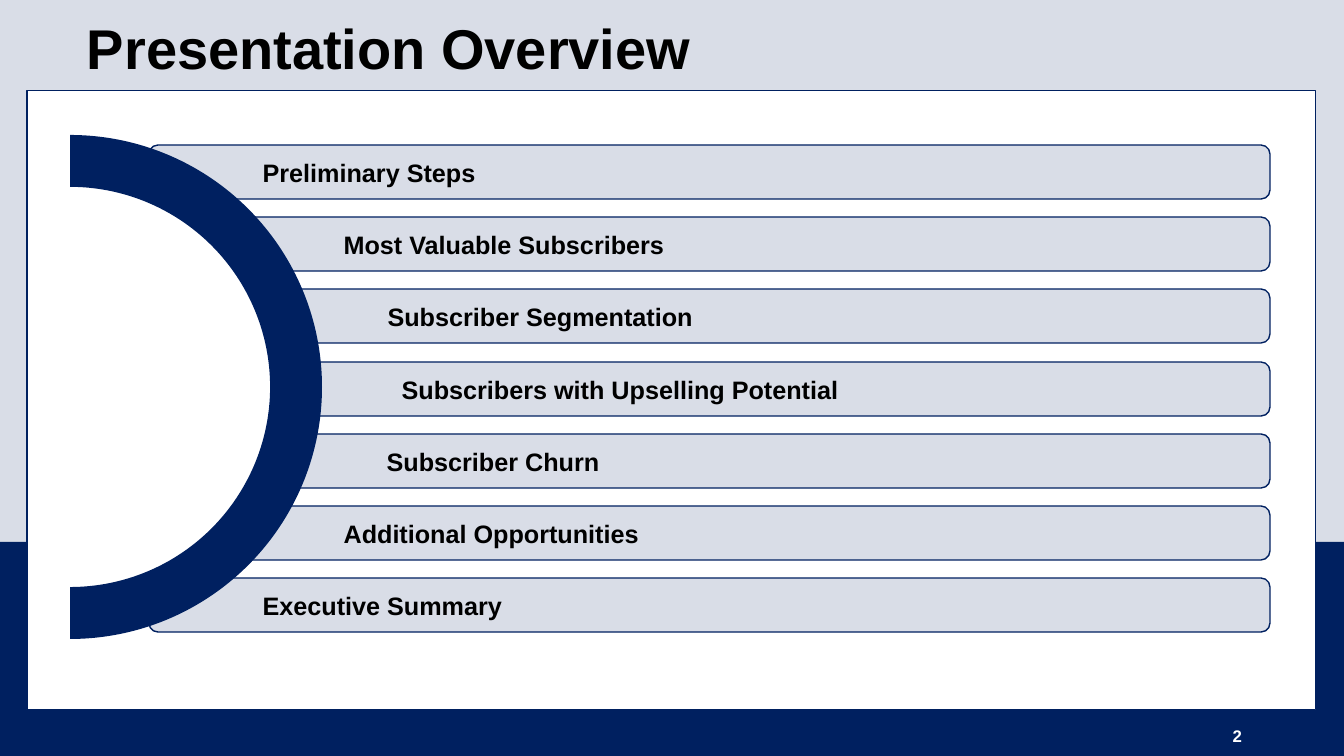
"""Build the presentation overview slide."""
from lxml import etree
from pptx import Presentation, util as u
from pptx.dml.color import RGBColor
from pptx.enum import shapes as s, text as t
from pptx.oxml.ns import qn

NAVY, WHITE, BLACK = "002060", "FFFFFF", "000000"
TOPICS = [
    ("Preliminary Steps", 149),
    ("Most Valuable Subscribers", 230),
    ("Subscriber Segmentation", 274),
    ("Subscribers with Upselling Potential", 288),
    ("Subscriber Churn", 273),
    ("Additional Opportunities", 230),
    ("Executive Summary", 149),
]
FIRST, LAST, RIGHT = 145, 578, 1270


def px(n):
    """Turn pixels into EMU."""
    return u.Emu(round(n * 12192000 / 1344))


def paint(part, color):
    """Give a fill or a font colour a solid hex colour."""
    part.rgb = RGBColor.from_string(color)


def place(shape, x, y, w, h):
    """Move and size a shape in pixels."""
    shape.left, shape.top, shape.width, shape.height = map(px, (x, y, w, h))


def write(shape, words, size, color=BLACK, align="LEFT", anchor="MIDDLE", inset=10):
    """Put bold Arial text into a shape."""
    frame = shape.text_frame
    frame.word_wrap = True
    frame.auto_size = t.MSO_AUTO_SIZE.NONE
    frame.vertical_anchor = t.MSO_ANCHOR[anchor]
    frame.margin_left, frame.margin_right = px(inset), px(10)
    frame.margin_top = frame.margin_bottom = px(5)
    para = frame.paragraphs[0]
    para.alignment = t.PP_ALIGN[align]
    run = para.add_run()
    run.text = words
    run.font.name, run.font.size, run.font.bold = "Arial", u.Pt(size), True
    paint(run.font.color, color)


def block(slide, kind, x, y, w, h, fill, alpha=100, line=0):
    """Add a filled shape, with a navy outline if line is set."""
    shape = slide.shapes.add_shape(s.MSO_SHAPE[kind], *map(px, (x, y, w, h)))
    shape.shadow.inherit = False
    shape.fill.solid()
    paint(shape.fill.fore_color, fill)
    if alpha < 100:
        clr = shape.element.spPr.find(".//" + qn("a:srgbClr"))
        etree.SubElement(clr, qn("a:alpha")).set("val", str(alpha * 1000))
    if line:
        paint(shape.line.color, NAVY)
        shape.line.width = u.Pt(line)
    else:
        shape.line.fill.background()
    return shape


def title(slide, words):
    """Fill the title placeholder and bring it to the front."""
    head = slide.shapes.title
    place(head, 27, 8, 1289, 78)
    write(head, words, 40, anchor="TOP", inset=60)
    head.element.getparent().append(head.element)


def arc(slide):
    """Add the half ring beside the topics."""
    ring = block(slide, "BLOCK_ARC", -182, 135, 504, 504, NAVY)
    ring.rotation = 90
    for i, value in enumerate((108, 0, 0.103)):
        ring.adjustments[i] = value


def topics(slide):
    """Add the evenly spaced topic bars."""
    step = (LAST - FIRST) / (len(TOPICS) - 1)
    for i, (words, x) in enumerate(TOPICS):
        y = round(FIRST + i * step)
        bar = block(slide, "ROUNDED_RECTANGLE", x, y, RIGHT - x, 54, NAVY, alpha=15, line=1)
        write(bar, words, 18, inset=111)


def main():
    """Build and save the slide."""
    deck = Presentation()
    deck.slide_width, deck.slide_height = px(1344), px(756)
    slide = deck.slides.add_slide(deck.slide_layouts[5])
    block(slide, "RECTANGLE", 0, 0, 1344, 542, NAVY, alpha=15)
    block(slide, "RECTANGLE", 0, 542, 1344, 214, NAVY)
    block(slide, "RECTANGLE", 27, 91, 1289, 619, WHITE, line=0.75)
    page = slide.shapes.add_textbox(*map(px, (950, 716, 302, 40)))
    write(page, "2", 12, color=WHITE, align="RIGHT")
    title(slide, "Presentation Overview")
    arc(slide)
    topics(slide)
    deck.save("out.pptx")


if __name__ == "__main__":
    main()
